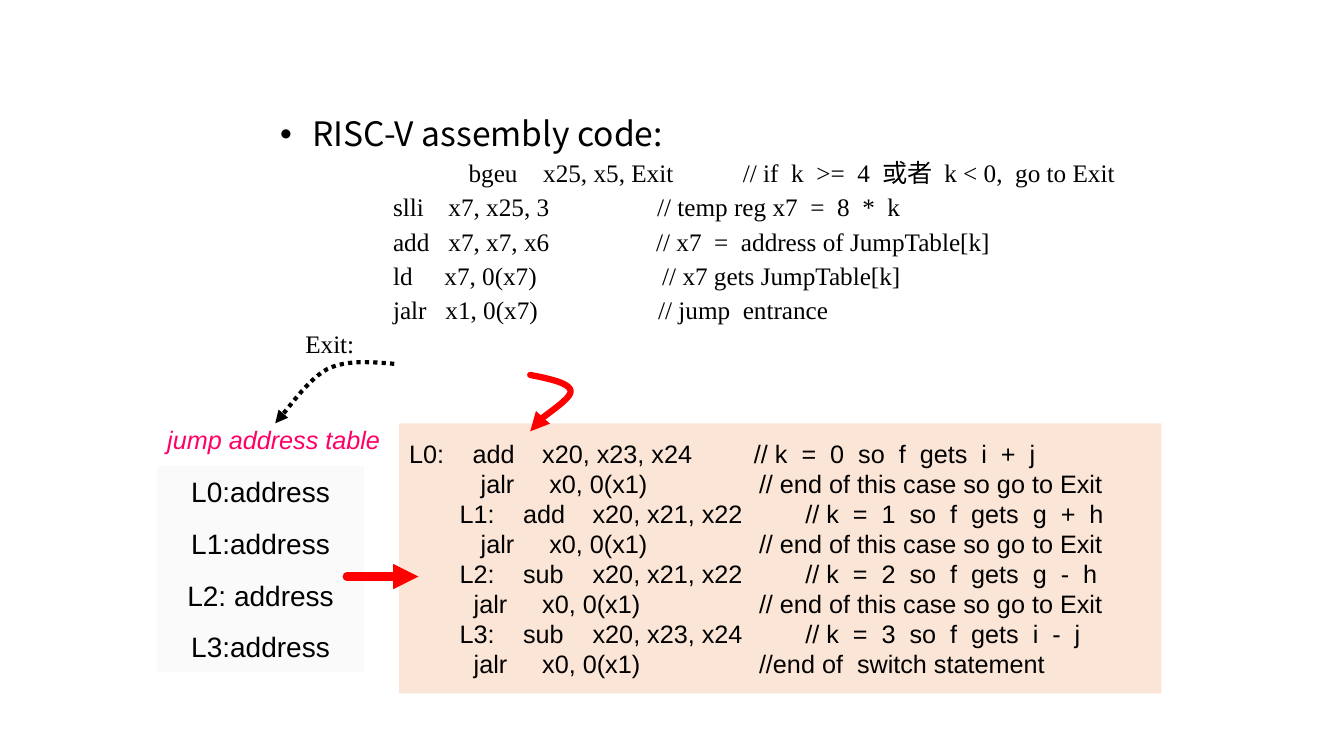
from dataclasses import dataclass

from lxml.etree import SubElement
from pptx import Presentation
from pptx.dml.color import RGBColor
from pptx.enum.dml import MSO_LINE
from pptx.enum.shapes import MSO_CONNECTOR, MSO_SHAPE
from pptx.enum.text import MSO_ANCHOR, PP_ALIGN
from pptx.oxml.ns import qn
from pptx.util import Inches, Pt


@dataclass(frozen=True)
class Theme:
    ink: str = "000000"
    pink: str = "FF0066"
    red: str = "FF0000"
    peach: str = "FBE5D6"
    pale: str = "FAFAFA"
    sans: str = "Arial"
    serif: str = "Times New Roman"
    heading: str = "Noto Sans CJK SC"
    code_size: int = 18
    entry_size: int = 20
    heading_size: int = 24


class SlideBuilder:
    """Draws the elements of one slide in a shared style."""

    def __init__(self, slide, theme):
        self.slide = slide
        self.theme = theme

    def text_box(self, left, top, width, height):
        box = self.slide.shapes.add_textbox(*map(Inches, (left, top, width, height)))
        box.text_frame.word_wrap = True
        return box.text_frame

    def panel(self, left, top, width, height, color, anchor):
        panel = self.slide.shapes.add_shape(
            MSO_SHAPE.RECTANGLE, *map(Inches, (left, top, width, height)))
        panel.shadow.inherit = False
        panel.fill.solid()
        panel.fill.fore_color.rgb = RGBColor.from_string(color)
        panel.line.fill.background()
        panel.text_frame.word_wrap = True
        panel.text_frame.vertical_anchor = anchor
        return panel.text_frame

    def paragraph(self, frame, text, font, size, color=None, italic=False,
                  align=PP_ALIGN.LEFT, spacing=None, before=0, stops=(), bullet=None):
        first = not frame.text
        paragraph = frame.paragraphs[0] if first else frame.add_paragraph()
        paragraph.text = text
        paragraph.alignment = align
        if spacing:
            paragraph.line_spacing = Pt(spacing)
        if before and not first:
            paragraph.space_before = Pt(before)
        properties = paragraph._p.get_or_add_pPr()
        if bullet:
            properties.set("marL", str(Inches(0.82)))
            properties.set("indent", str(Inches(-0.32)))
            SubElement(properties, qn("a:buFont")).set("typeface", self.theme.sans)
            SubElement(properties, qn("a:buChar")).set("char", bullet)
        if stops:
            tabs = SubElement(properties, qn("a:tabLst"))
            for stop in stops:
                tab = SubElement(tabs, qn("a:tab"))
                tab.set("pos", str(Inches(stop)))
                tab.set("algn", "l")
        paragraph.font.name = font
        paragraph.font.size = Pt(size)
        paragraph.font.italic = italic
        paragraph.font.color.rgb = RGBColor.from_string(color or self.theme.ink)

    def arrow_line(self, line, color, width, dash=None):
        line.color.rgb = RGBColor.from_string(color)
        line.width = Pt(width)
        if dash:
            line.dash_style = dash
        outline = line._get_or_add_ln()
        if not dash:
            outline.set("cap", "rnd")
        SubElement(outline, qn("a:tailEnd")).set("type", "triangle")

    def curved_arrow(self, start, segments, color, width, dash=None, steps=12):
        points, origin = [], start
        for a, b, end in segments:
            for step in range(1, steps + 1):
                t = step / steps
                u = 1 - t
                points.append(tuple(
                    Inches(u**3 * p + 3 * u * u * t * q + 3 * u * t * t * r + t**3 * s)
                    for p, q, r, s in zip(origin, a, b, end)))
            origin = end
        outline = self.slide.shapes.build_freeform(*map(Inches, start))
        outline.add_line_segments(points, close=False)
        curve = outline.convert_to_shape()
        curve.shadow.inherit = False
        curve.fill.background()
        self.arrow_line(curve.line, color, width, dash)

    def straight_arrow(self, start, end, color, width):
        arrow = self.slide.shapes.add_connector(
            MSO_CONNECTOR.STRAIGHT, *map(Inches, start + end))
        SubElement(arrow._element.spPr, qn("a:effectLst"))
        self.arrow_line(arrow.line, color, width)


LABEL_STOPS = (0.5, 1.13, 1.82, 3.93)
CASES = [
    ("L0:\tadd\tx20, x23, x24\t// k  =  0  so  f  gets  i  +  j", (0.63, 1.32, 3.42)),
    ("\tjalr\tx0, 0(x1)\t// end of this case so go to Exit", (0.71, 1.39, 3.47)),
    ("\tL1:\tadd\tx20, x21, x22\t// k  =  1  so  f  gets  g  +  h", LABEL_STOPS),
    ("\tjalr\tx0, 0(x1)\t// end of this case so go to Exit", (0.71, 1.39, 3.47)),
    ("\tL2:\tsub\tx20, x21, x22\t// k  =  2  so  f  gets  g  -  h", LABEL_STOPS),
    ("\tjalr\tx0, 0(x1)\t// end of this case so go to Exit", (0.64, 1.32, 3.47)),
    ("\tL3:\tsub\tx20, x23, x24\t// k  =  3  so  f  gets  i  -  j", LABEL_STOPS),
    ("\tjalr\tx0, 0(x1)\t//end of  switch statement", (0.64, 1.32, 3.47)),
]
DISPATCH = [
    ("\tbgeu\tx25, x5, Exit\t// if  k  >=  4  或者  k < 0,  go to Exit", (2.37, 3.11, 5.09)),
    ("\tslli\tx7, x25, 3\t// temp reg x7  =  8  *  k", (1.62, 2.17, 4.24)),
    ("\tadd\tx7, x7, x6\t// x7  =  address of JumpTable[k]", (1.62, 2.17, 4.23)),
    ("\tld\tx7, 0(x7)\t// x7 gets JumpTable[k]", (1.62, 2.13, 4.29)),
    ("\tjalr\tx1, 0(x7)\t// jump  entrance", (1.62, 2.14, 4.25)),
    ("\tExit:", (0.75,)),
]
ADDRESSES = ["L0:address", "L1:address", "L2: address", "L3:address"]


def main():
    presentation = Presentation()
    presentation.slide_width, presentation.slide_height = Inches(13.33), Inches(7.5)
    slide = presentation.slides.add_slide(presentation.slide_layouts[6])
    theme = Theme()
    builder = SlideBuilder(slide, theme)

    cases = builder.panel(3.96, 4.2, 7.56, 2.68, theme.peach, MSO_ANCHOR.MIDDLE)
    for code, stops in CASES:
        builder.paragraph(cases, code, theme.sans, theme.code_size,
                          spacing=21.5, stops=stops)

    dispatch = builder.text_box(2.18, 1.1, 9.34, 2.68)
    builder.paragraph(dispatch, "RISC-V assembly code:", theme.heading,
                      theme.heading_size, spacing=27, bullet="•")
    for code, stops in DISPATCH:
        builder.paragraph(dispatch, code, theme.serif, theme.code_size,
                          spacing=19.4, before=5, stops=stops)

    caption = builder.text_box(1.56, 4.16, 2.5, 0.4)
    builder.paragraph(caption, "jump address table", theme.sans, theme.code_size,
                      color=theme.pink, italic=True)

    jump_table = builder.panel(1.56, 4.62, 2.05, 2.05, theme.pale, MSO_ANCHOR.MIDDLE)
    for address in ADDRESSES:
        builder.paragraph(jump_table, address, theme.sans, theme.entry_size,
                          align=PP_ALIGN.CENTER, before=12.8)

    builder.curved_arrow(
        (3.91, 3.61),
        [((3.68, 3.59), (3.44, 3.57), (3.25, 3.66)),
         ((3.05, 3.76), (2.82, 4.11), (2.73, 4.2))],
        theme.ink, 3, MSO_LINE.ROUND_DOT)
    builder.curved_arrow(
        (5.26, 3.72),
        [((5.46, 3.76), (5.65, 3.8), (5.66, 3.88)),
         ((5.67, 3.96), (5.38, 4.13), (5.32, 4.2)),
         ((5.25, 4.26), (5.25, 4.27), (5.26, 4.28))],
        theme.red, 4.5)
    builder.straight_arrow((3.44, 5.72), (4.15, 5.72), theme.red, 6)

    presentation.save("out.pptx")


if __name__ == "__main__":
    main()
